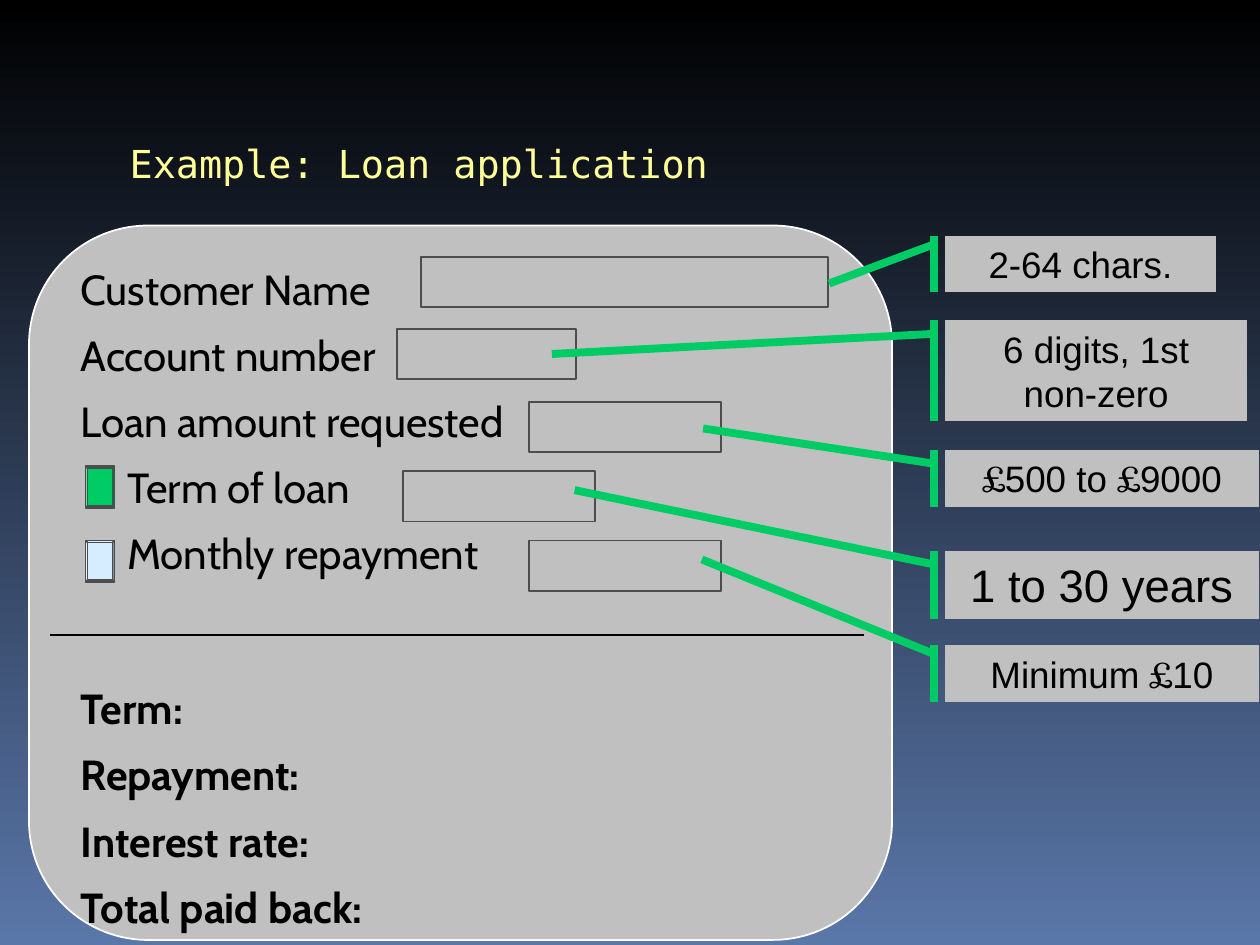
from lxml import etree
from pptx import Presentation
from pptx.dml.color import RGBColor
from pptx.enum.shapes import MSO_CONNECTOR, MSO_SHAPE
from pptx.enum.text import MSO_ANCHOR, PP_ALIGN
from pptx.oxml.ns import qn
from pptx.util import Inches, Pt

GREEN, GREY, DARK_GREY = "00CC66", "C0C0C0", "4D4D4D"


def color(hex_string):
    return RGBColor.from_string(hex_string)


def add_text(para, text, font, size, hex_string="000000", bold=False):
    """Append one run; each pound sign becomes a run in its own font."""
    before, pound, after = text.partition("£")
    for piece, face in ((before, font), (pound, "TeX Gyre Bonum")):
        if piece:
            span = para.add_run()
            span.text = piece
            span.font.name = face
            span.font.size = Pt(size)
            span.font.bold = bold
            span.font.color.rgb = color(hex_string)
    if after:
        add_text(para, after, font, size, hex_string, bold)


deck = Presentation()
deck.slide_width, deck.slide_height = Inches(10), Inches(7.5)
page = deck.slides.add_slide(deck.slide_layouts[6])
shapes = page.shapes

# Background gradient, dark at the top
background = page.background.fill
background.gradient()
background.gradient_angle = 270
for stop, shade in zip(background.gradient_stops, ("000000", "5A77A9")):
    stop.color.rgb = color(shade)

# Form panel
panel = shapes.add_shape(MSO_SHAPE.ROUNDED_RECTANGLE, Inches(0.23), Inches(1.79),
                         Inches(6.85), Inches(5.67))
panel.shadow.inherit = False
panel.fill.solid()
panel.fill.fore_color.rgb = color(GREY)
panel.line.color.rgb = color("FFFFFF")
panel.line.width = Pt(1)

# Title, form labels and result labels: (text, left indent)
title = [("Example: Loan application", 0)]
labels = [("Customer Name", 0), ("Account number", 0), ("Loan amount requested", 0),
          ("Term of loan", 0.37), ("Monthly repayment", 0.37)]
results = [("Term:", 0), ("Repayment:", 0), ("Interest rate:", 0), ("Total paid back:", 0)]
text_blocks = [
    (0.96, 1.08, 5.07, 0.52, title, 1, ("DejaVu Sans Mono", 22, "FFFF99")),
    (0.57, 2.11, 4, 2.6, labels, 0.88, ("Cabin", 24)),
    (0.57, 5.44, 4, 2, results, 0.88, ("Cabin", 24, "000000", True)),
]
for left, top, width, height, lines, spacing, style in text_blocks:
    box = shapes.add_textbox(Inches(left), Inches(top), Inches(width), Inches(height))
    frame = box.text_frame
    frame.word_wrap = True
    frame.margin_left = frame.margin_right = Inches(0.07)
    frame.margin_top = frame.margin_bottom = Inches(0.03)
    for index, (text, indent) in enumerate(lines):
        para = frame.add_paragraph() if index else frame.paragraphs[0]
        para.line_spacing = spacing
        if index:
            para.space_before = Pt(12.5)
        if indent:
            properties = para._p.get_or_add_pPr()
            properties.set("marL", str(Inches(indent)))
            properties.set("indent", "0")
        add_text(para, text, *style)

# Option buttons
for top, fill in ((3.7, GREEN), (4.29, "D6ECFF")):
    button = shapes.add_shape(MSO_SHAPE.BEVEL, Inches(0.68), Inches(top),
                              Inches(0.23), Inches(0.33))
    button.adjustments[0] = 0.07
    button.shadow.inherit = False
    button.fill.solid()
    button.fill.fore_color.rgb = color(fill)
    button.line.color.rgb = color(DARK_GREY)
    button.line.width = Pt(1)

# Input fields
for left, top, width in ((3.34, 2.04, 3.23), (3.15, 2.61, 1.42), (4.2, 3.19, 1.52),
                         (3.2, 3.74, 1.52), (4.2, 4.29, 1.52)):
    field = shapes.add_shape(MSO_SHAPE.RECTANGLE, Inches(left), Inches(top),
                             Inches(width), Inches(0.4))
    field.shadow.inherit = False
    field.fill.background()
    field.line.color.rgb = color(DARK_GREY)
    field.line.width = Pt(1)

# Line between the form and the results
divider = shapes.add_connector(MSO_CONNECTOR.STRAIGHT, Inches(0.4), Inches(5.04),
                               Inches(6.86), Inches(5.04))
divider.line.color.rgb = color("000000")
divider.line.width = Pt(1)
etree.SubElement(divider._element.spPr, qn("a:effectLst"))

# Validity rules: top, width, height, drop of the pointer start, pointer tip, lines, size
callout_left, bar_gap = 7.5, 0.09
rules = [
    (1.87, 2.15, 0.45, 0.07, (6.58, 2.25), ["2-64 chars."], 21),
    (2.54, 2.4, 0.8, 0.11, (4.38, 2.81), ["6 digits, 1st", "non-zero"], 21),
    (3.57, 2.49, 0.45, 0.11, (5.58, 3.4), ["£500 to £9000"], 21),
    (4.37, 2.49, 0.54, 0.11, (4.56, 3.89), ["1 to 30 years"], 26),
    (5.12, 2.49, 0.45, 0.07, (5.57, 4.44), ["Minimum £10"], 21),
]
for top, width, height, drop, (tip_x, tip_y), lines, size in rules:
    callout = shapes.add_shape(MSO_SHAPE.LINE_CALLOUT_1_ACCENT_BAR, Inches(callout_left),
                               Inches(top), Inches(width), Inches(height))
    pointer = (drop / height, -bar_gap / width,
               (tip_y - top) / height, (tip_x - callout_left) / width)
    for index, value in enumerate(pointer):
        callout.adjustments[index] = value
    callout.shadow.inherit = False
    callout.fill.solid()
    callout.fill.fore_color.rgb = color(GREY)
    callout.line.color.rgb = color(GREEN)
    callout.line.width = Pt(4.5)
    frame = callout.text_frame
    frame.word_wrap = True
    frame.vertical_anchor = MSO_ANCHOR.MIDDLE
    for index, text in enumerate(lines):
        para = frame.add_paragraph() if index else frame.paragraphs[0]
        para.alignment = PP_ALIGN.CENTER
        add_text(para, text, "Arial", size)

deck.save("out.pptx")
